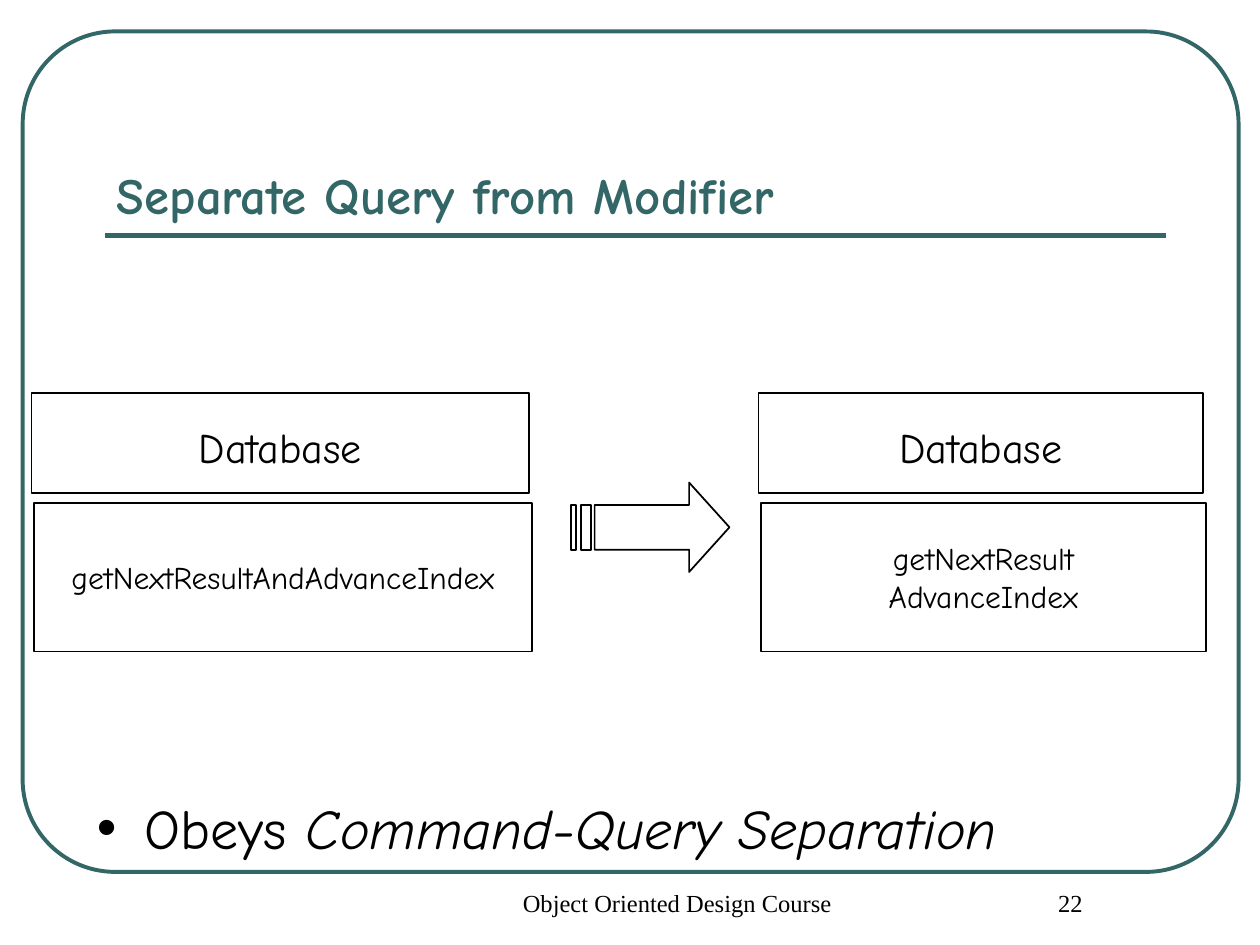
from lxml import etree
from pptx import Presentation
from pptx.dml.color import RGBColor
from pptx.enum.shapes import MSO_CONNECTOR, MSO_SHAPE
from pptx.enum.text import MSO_ANCHOR, PP_ALIGN
from pptx.oxml.ns import qn
from pptx.util import Inches, Pt

TEAL = RGBColor(0x33, 0x66, 0x66)
BLACK = RGBColor(0, 0, 0)
COMIC, TIMES = "Comic Neue", "Times New Roman"

TITLE = "Separate Query from Modifier"
BULLET = [("Obeys ", False), ("Command-Query Separation", True)]
FOOTERS = [("Object Oriented Design Course", 3.67, 3.17), ("22", 7.5, 1.75)]

# Class boxes before and after the refactoring: left, width, name, methods
CLASSES = [
    (0.25, 3.95, "Database", ["getNextResultAndAdvanceIndex"]),
    (6.02, 3.53, "Database", ["getNextResult", "AdvanceIndex"]),
]
NAME_TOP, NAME_HEIGHT = 3.12, 0.79
METHODS_TOP, METHODS_HEIGHT = 3.99, 1.18
METHODS_SHIFT = 0.02

# Arrow: two stripes, then a body with a head
ARROW_TOP, ARROW_HEIGHT = 3.83, 0.71
STRIPES = [(4.53, 4.57), (4.61, 4.69)]
BODY_LEFT, HEAD_LEFT, ARROW_TIP = 4.72, 5.47, 5.79


def style_outline(shape, color, width):
    shape.shadow.inherit = False
    shape.fill.background()
    shape.line.color.rgb = color
    shape.line.width = Pt(width)


def write(shape, paragraphs, font, color=BLACK, align=PP_ALIGN.LEFT, **frame_format):
    """Fill a shape with paragraphs, each a list of (text, italic) runs."""
    frame = shape.text_frame
    for name, value in frame_format.items():
        setattr(frame, name, value)
    for index, runs in enumerate(paragraphs):
        paragraph = frame.add_paragraph() if index else frame.paragraphs[0]
        paragraph.alignment = align
        for text, italic in runs:
            run = paragraph.add_run()
            run.text = text
            for name, value in font.items():
                setattr(run.font, name, value)
            run.font.color.rgb = color
            if italic:
                run.font.italic = True
    return frame


def add_text(slide, box, paragraphs, font, **options):
    textbox = slide.shapes.add_textbox(*map(Inches, box))
    return write(textbox, paragraphs, font, word_wrap=True, **options)


def add_outline(slide, preset, box, color, width):
    shape = slide.shapes.add_shape(preset, *map(Inches, box))
    style_outline(shape, color, width)
    return shape


def add_class_box(slide, box, lines, size, top_inset):
    shape = add_outline(slide, MSO_SHAPE.RECTANGLE, box, BLACK, 1)
    write(shape, [[(line, False)] for line in lines],
          {"name": COMIC, "size": Pt(size)}, align=PP_ALIGN.CENTER,
          vertical_anchor=MSO_ANCHOR.MIDDLE, word_wrap=False,
          margin_top=Inches(top_inset))


def add_striped_arrow(slide):
    bottom = ARROW_TOP + ARROW_HEIGHT
    middle = ARROW_TOP + ARROW_HEIGHT / 2
    body_top = ARROW_TOP + ARROW_HEIGHT / 4
    body_bottom = bottom - ARROW_HEIGHT / 4
    contours = [[(BODY_LEFT, body_top), (HEAD_LEFT, body_top), (HEAD_LEFT, ARROW_TOP),
                 (ARROW_TIP, middle), (HEAD_LEFT, bottom), (HEAD_LEFT, body_bottom),
                 (BODY_LEFT, body_bottom)]]
    contours += [[(left, body_top), (right, body_top), (right, body_bottom),
                  (left, body_bottom)] for left, right in STRIPES]
    contours = [[(Inches(x), Inches(y)) for x, y in contour] for contour in contours]
    builder = slide.shapes.build_freeform(*contours[0][0])
    for index, (start, *others) in enumerate(contours):
        if index:
            builder.move_to(*start)
        builder.add_line_segments(others, close=True)
    style_outline(builder.convert_to_shape(), BLACK, 1)


def add_bullet(paragraph, indent):
    properties = paragraph._p.get_or_add_pPr()
    properties.set("marL", str(Inches(indent)))
    properties.set("indent", str(-Inches(indent)))
    etree.SubElement(properties, qn("a:buFont")).set("typeface", "Arial")
    etree.SubElement(properties, qn("a:buChar")).set("char", "•")


def main():
    presentation = Presentation()
    presentation.slide_width, presentation.slide_height = Inches(10), Inches(7.5)
    slide = presentation.slides.add_slide(presentation.slide_layouts[6])

    border = add_outline(slide, MSO_SHAPE.ROUNDED_RECTANGLE,
                         (0.18, 0.25, 9.65, 6.67), TEAL, 2.25)
    border.adjustments[0] = 0.11
    rule = slide.shapes.add_connector(
        MSO_CONNECTOR.STRAIGHT, *map(Inches, (0.83, 1.87, 9.25, 1.87)))
    rule.line.color.rgb = TEAL
    rule.line.width = Pt(3)
    etree.SubElement(rule._element.spPr, qn("a:effectLst"))

    add_text(slide, (0.83, 0.58, 8.42, 1.25), [[(TITLE, False)]],
             {"name": COMIC, "size": Pt(29), "bold": True}, color=TEAL,
             vertical_anchor=MSO_ANCHOR.BOTTOM)
    principle = add_text(slide, (0.67, 6.25, 8.83, 0.64), [BULLET],
                         {"name": COMIC, "size": Pt(32)})
    add_bullet(principle.paragraphs[0], 0.38)

    for left, width, name, methods in CLASSES:
        add_class_box(slide, (left, NAME_TOP, width, NAME_HEIGHT), [name], 24, 0.11)
        add_class_box(slide, (left + METHODS_SHIFT, METHODS_TOP, width, METHODS_HEIGHT),
                      methods, 18, 0.05)
    add_striped_arrow(slide)

    for text, left, width in FOOTERS:
        add_text(slide, (left, 7, width, 0.5), [[(text, False)]],
                 {"name": TIMES, "size": Pt(14)}, align=PP_ALIGN.CENTER,
                 margin_left=Inches(0.34))

    presentation.save("out.pptx")


if __name__ == "__main__":
    main()
